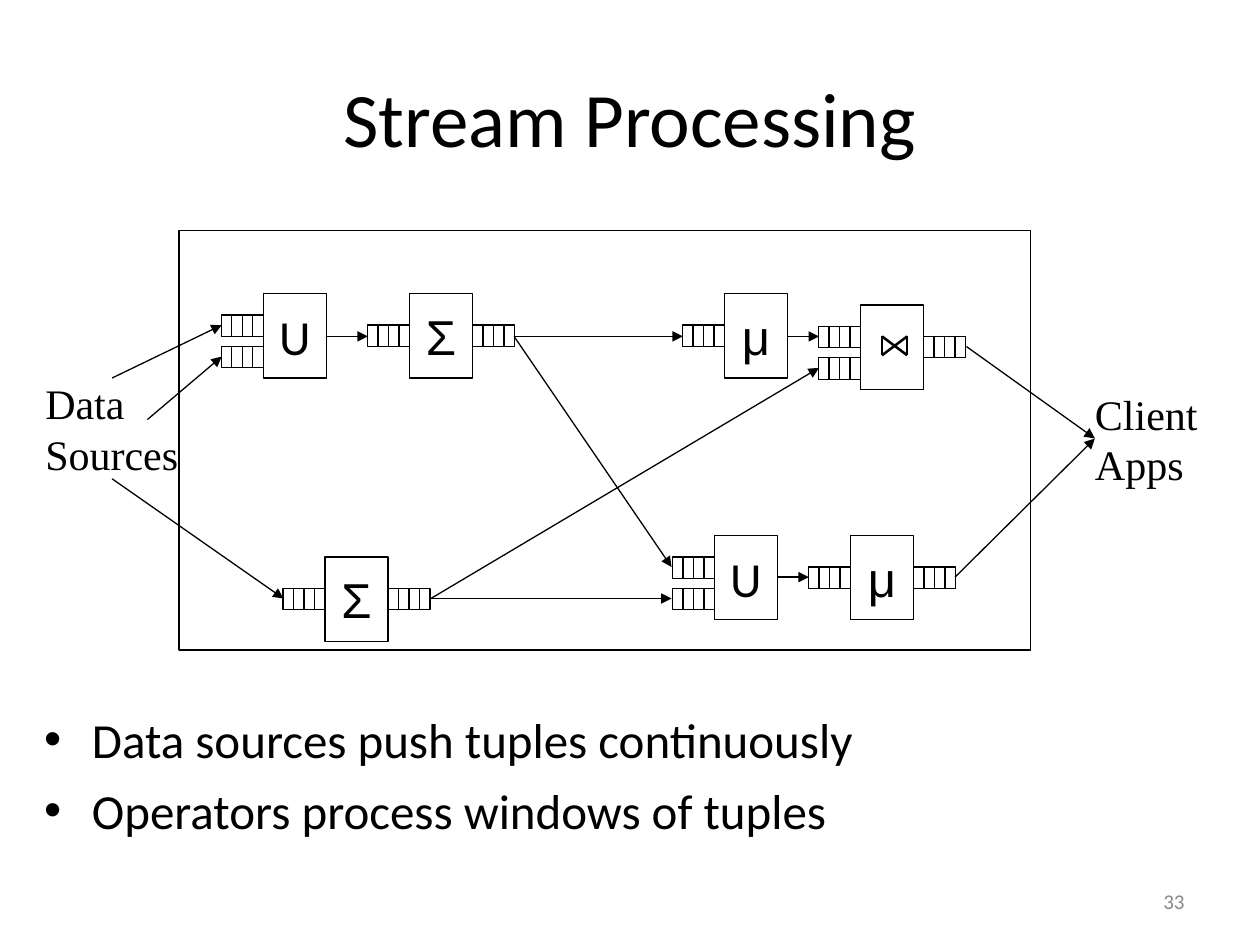
from lxml import etree
from pptx import Presentation
from pptx.dml.color import RGBColor
from pptx.enum.shapes import MSO_CONNECTOR, MSO_SHAPE
from pptx.enum.text import MSO_ANCHOR, PP_ALIGN
from pptx.oxml.ns import qn
from pptx.util import Inches, Pt

RECTANGLE = MSO_SHAPE.RECTANGLE
STRAIGHT = MSO_CONNECTOR.STRAIGHT
MIDDLE = MSO_ANCHOR.MIDDLE
LEFT, CENTER, RIGHT = PP_ALIGN.LEFT, PP_ALIGN.CENTER, PP_ALIGN.RIGHT

COLORS = {"ink": "000000", "page_number": "898989"}
INK = RGBColor.from_string(COLORS["ink"])

deck = Presentation()
deck.slide_width, deck.slide_height = Inches(10), Inches(7.5)
page = deck.slides.add_slide(deck.slide_layouts[1])


def write(shape, text, font, size, align, color="ink"):
    """Fill a shape with text in one format."""
    shape.text_frame.text = text
    for para in shape.text_frame.paragraphs:
        para.alignment = align
        for span in para.runs:
            span.font.name = font
            span.font.size = Pt(size)
            span.font.color.rgb = RGBColor.from_string(COLORS[color])


def outline(left, top, width, height):
    """Add an unfilled rectangle with a thin black line."""
    box = page.shapes.add_shape(RECTANGLE, Inches(left), Inches(top),
                                Inches(width), Inches(height))
    box.shadow.inherit = False
    box.fill.background()
    box.line.color.rgb = INK
    box.line.width = Pt(0.75)
    return box


# Title and bullet list
title = page.shapes.title
title.left, title.top = Inches(0.5), Inches(0.3)
title.width, title.height = Inches(9), Inches(1.25)
title.text_frame.vertical_anchor = MIDDLE
write(title, "Stream Processing", "Calibri", 44, CENTER)

body = page.placeholders[1]
body.left, body.top = Inches(0.25), Inches(5.58)
body.width, body.height = Inches(9.25), Inches(1.58)
write(body, "Data sources push tuples continuously\nOperators process windows of tuples",
      "Calibri", 28, LEFT)
for para in body.text_frame.paragraphs:
    para.space_before = Pt(7)
    properties = para._p.get_or_add_pPr()
    properties.set("marL", str(Inches(0.38)))
    properties.set("indent", str(-Inches(0.38)))

# Labels on both sides of the system
for text, left, top, width in [("Data\nSources", 0.36, 3, 1.06),
                               ("Client\nApps", 8.69, 3.08, 0.82)]:
    label = page.shapes.add_textbox(Inches(left), Inches(top), Inches(width), Inches(0.8))
    frame = label.text_frame
    frame.margin_left = frame.margin_right = frame.margin_top = frame.margin_bottom = 0
    frame.word_wrap = False
    write(label, text, "Times New Roman", 24, LEFT)

# System frame
outline(1.42, 1.83, 6.76, 3.33)

# Operators with their input and output queues
OPERATOR_WIDTH, OPERATOR_HEIGHT = 0.5, 0.67
CELLS, CELL_WIDTH, CELL_HEIGHT = 4, 1 / 12, 0.17
ONE_INPUT, TWO_INPUTS = [0.25], [0.17, 0.42]
OUTPUT = 0.25
operators = [  # symbol, font, left, top, input offsets, has output queue
    ("U", "Calibri", 2.09, 2.33, TWO_INPUTS, False),
    ("Σ", "Arial", 3.25, 2.33, ONE_INPUT, True),
    ("μ", "Arial", 5.75, 2.33, ONE_INPUT, False),
    ("", "Arial", 6.83, 2.42, TWO_INPUTS, True),  # join, symbol drawn below
    ("Σ", "Arial", 2.58, 4.42, ONE_INPUT, True),
    ("U", "Calibri", 5.67, 4.25, TWO_INPUTS, False),
    ("μ", "Arial", 6.75, 4.25, ONE_INPUT, True),
]
for symbol, font, left, top, inputs, has_output in operators:
    operator = outline(left, top, OPERATOR_WIDTH, OPERATOR_HEIGHT)
    if symbol:
        operator.text_frame.word_wrap = False
        operator.text_frame.vertical_anchor = MIDDLE
        write(operator, symbol, font, 28, CENTER)

    queues = [(left - CELLS * CELL_WIDTH, top + offset) for offset in inputs]
    if has_output:
        queues.append((left + OPERATOR_WIDTH, top + OUTPUT))
    for queue_left, queue_top in queues:
        for cell in range(CELLS):
            outline(queue_left + cell * CELL_WIDTH, queue_top, CELL_WIDTH, CELL_HEIGHT)

# Data flow arrows and the four strokes of the join symbol
flows = [
    (0.89, 3, 1.76, 2.58), (1.17, 3.33, 1.76, 2.83), (0.89, 3.8, 2.25, 4.75),
    (2.59, 2.67, 2.92, 2.67), (4.08, 2.67, 5.42, 2.67), (4.08, 2.67, 5.33, 4.5),
    (6.25, 2.67, 6.5, 2.67), (3.42, 4.75, 6.5, 2.92), (3.42, 4.75, 5.33, 4.75),
    (6.17, 4.58, 6.42, 4.58), (7.67, 2.75, 8.69, 3.48), (7.58, 4.58, 8.69, 3.48),
]
join_strokes = [(7, 2.82, 7.2, 2.67), (7, 2.82, 7, 2.67),
                (7, 2.67, 7.2, 2.82), (7.2, 2.82, 7.2, 2.67)]
for lines, weight, has_head in [(flows, 0.75, True), (join_strokes, 1.45, False)]:
    for ends in lines:
        line = page.shapes.add_connector(STRAIGHT, *[Inches(value) for value in ends])
        line.line.color.rgb = INK
        line.line.width = Pt(weight)
        if has_head:
            etree.SubElement(line.line._get_or_add_ln(), qn("a:tailEnd"), type="triangle")
        etree.SubElement(line._element.spPr, qn("a:effectLst"))

# Page number
number = page.shapes.add_textbox(Inches(7.17), Inches(6.95), Inches(2.33), Inches(0.4))
number.text_frame.word_wrap = True
number.text_frame.vertical_anchor = MIDDLE
write(number, "33", "Calibri", 12, RIGHT, "page_number")

deck.save("out.pptx")
